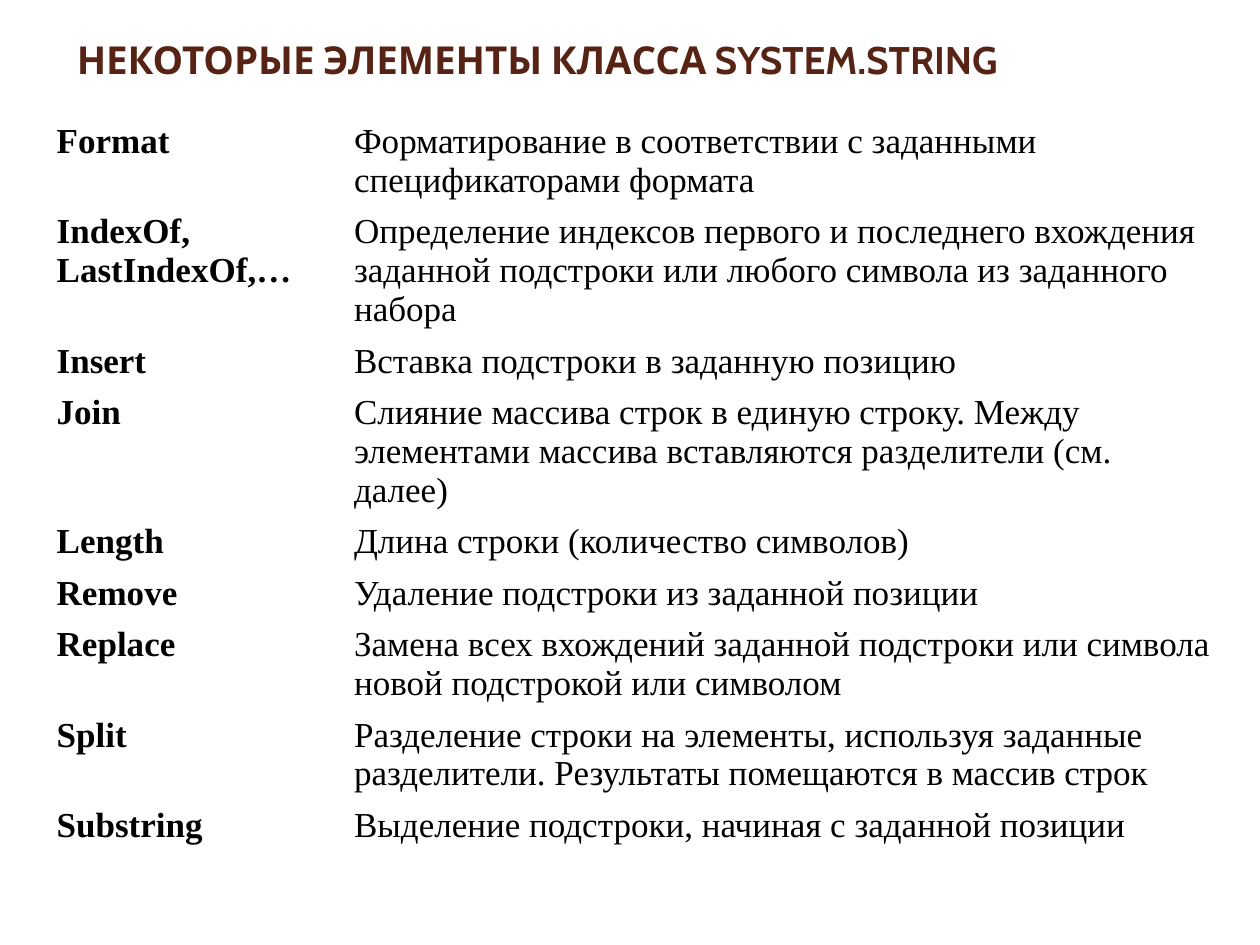
"""Build a slide listing selected members of the System.String class."""
from pptx import Presentation
from pptx.dml.color import RGBColor
from pptx.enum.text import MSO_ANCHOR, MSO_AUTO_SIZE, PP_ALIGN
from pptx.util import Inches, Pt

LEFT = PP_ALIGN.LEFT
TOP = MSO_ANCHOR.TOP
BOTTOM = MSO_ANCHOR.BOTTOM
NO_FIT = MSO_AUTO_SIZE.NONE
COLORS = {"title": "572314", "text": "000000", "background": "FFFFFF"}
MEMBERS = [
    ("Format", "Форматирование в соответствии с заданными спецификаторами формата"),
    ("IndexOf, LastIndexOf,…",
     "Определение индексов первого и последнего вхождения заданной подстроки "
     "или любого символа из заданного набора"),
    ("Insert", "Вставка подстроки в заданную позицию"),
    ("Join",
     "Слияние массива строк в единую строку. Между элементами массива "
     "вставляются разделители (см. далее)"),
    ("Length", "Длина строки (количество символов)"),
    ("Remove", "Удаление подстроки из заданной позиции"),
    ("Replace",
     "Замена всех вхождений заданной подстроки или символа новой подстрокой "
     "или символом"),
    ("Split",
     "Разделение строки на элементы, используя заданные разделители. "
     "Результаты помещаются в массив строк"),
    ("Substring", "Выделение подстроки, начиная с заданной позиции"),
]


def write(frame, text, *, font="Times New Roman", size=20, color="text", bold=False, spacing=None):
    para = frame.paragraphs[0]
    para.alignment = LEFT
    if spacing:
        para.line_spacing = Pt(spacing)
    span = para.add_run()
    span.text = text
    span.font.name = font
    span.font.size = Pt(size)
    span.font.bold = bold
    span.font.color.rgb = RGBColor.from_string(COLORS[color])


deck = Presentation()
deck.slide_width, deck.slide_height = Inches(10), Inches(7.5)
page = deck.slides.add_slide(deck.slide_layouts[5])
page.background.fill.solid()
page.background.fill.fore_color.rgb = RGBColor.from_string(COLORS["background"])

title = page.shapes.title
title.left, title.top = Inches(0.51), Inches(0.13)
title.width, title.height = Inches(9.37), Inches(0.57)
title.text_frame.auto_size = NO_FIT
title.text_frame.word_wrap = True
title.text_frame.vertical_anchor = BOTTOM
write(title.text_frame, "НЕКОТОРЫЕ ЭЛЕМЕНТЫ КЛАССА SYSTEM.STRING",
      font="Cabin", size=22, color="title", bold=True, spacing=20)

table = page.shapes.add_table(len(MEMBERS), 2, Inches(0.35), Inches(0.92),
                              Inches(9.37), Inches(0.25 * len(MEMBERS))).table
table.first_row = False
table.horz_banding = False
for column, width in zip(table.columns, (2.36, 7.01)):
    column.width = Inches(width)

for row, member in enumerate(MEMBERS):
    for column, text in enumerate(member):
        cell = table.cell(row, column)
        cell.fill.background()
        cell.vertical_anchor = TOP
        write(cell.text_frame, text, bold=column == 0)

deck.save("out.pptx")
